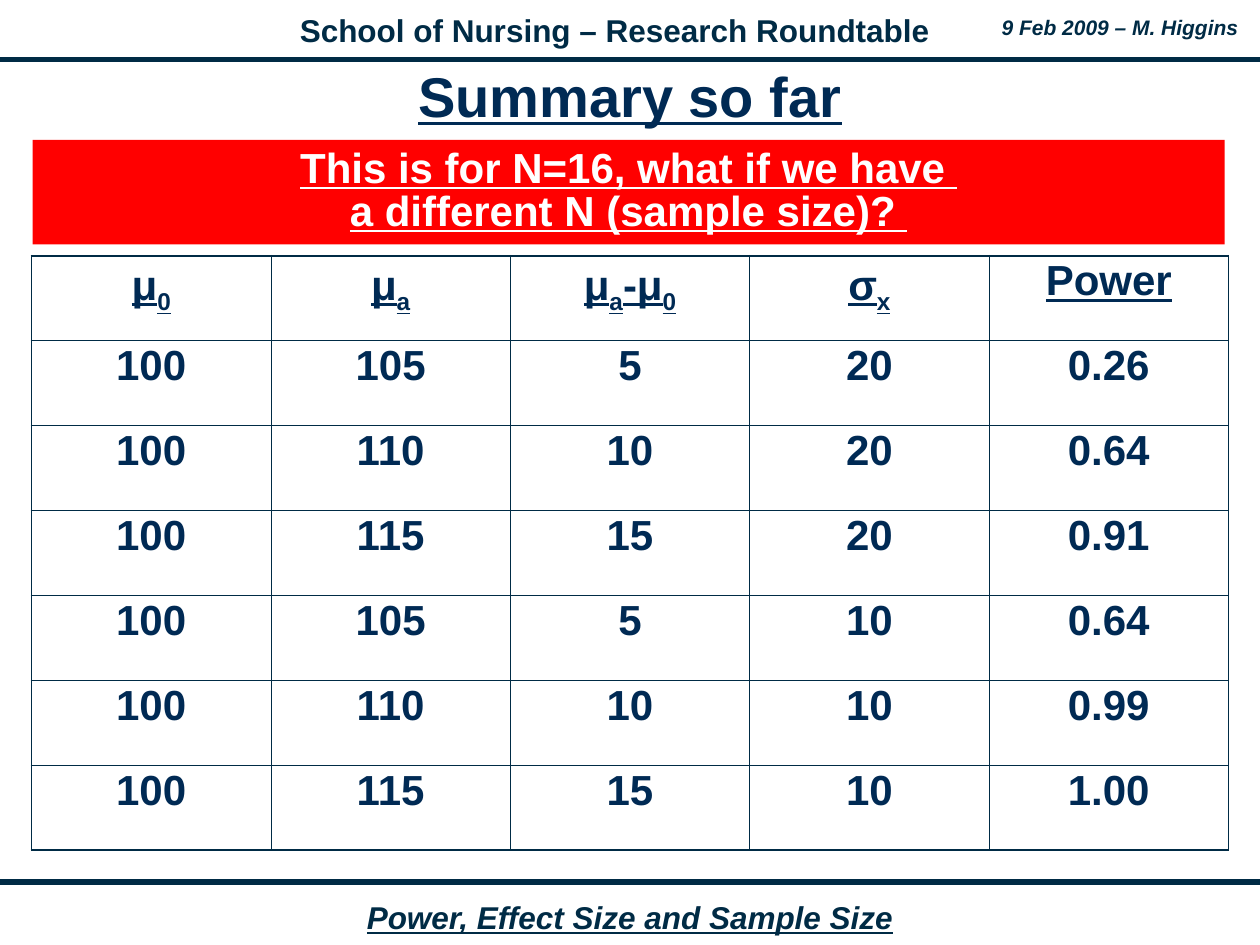
"""Builds the summary slide on power, effect size and sample size."""
from dataclasses import dataclass
from typing import NamedTuple

from lxml.etree import SubElement
from pptx import Presentation
from pptx.dml.color import RGBColor
from pptx.enum.shapes import MSO_CONNECTOR as Connector, MSO_SHAPE as Shape
from pptx.enum.text import MSO_ANCHOR as Anchor, MSO_AUTO_SIZE as AutoSize, PP_ALIGN as Align
from pptx.oxml.ns import qn
from pptx.util import Inches, Pt

NAVY = RGBColor(0x00, 0x2B, 0x45)
INK = RGBColor(0x00, 0x2A, 0x54)
RED = RGBColor(0xFF, 0x00, 0x00)
WHITE = RGBColor(0xFF, 0xFF, 0xFF)

WIDTH, HEIGHT = Inches(10), Inches(7.5)
GRID_COLUMNS, GRID_ROWS = 100, 75
THIN, THICK = Pt(0.45), Pt(1.08)


class Box(NamedTuple):
    left: float
    top: float
    width: float
    height: float

    def place(self) -> tuple[int, int, int, int]:
        return across(self.left), down(self.top), across(self.width), down(self.height)


class Piece(NamedTuple):
    text: str
    subscript: bool = False


@dataclass(frozen=True)
class Style:
    size: float
    color: RGBColor
    italic: bool = False
    underline: bool = False


@dataclass(frozen=True)
class Label:
    text: str
    box: Box
    style: Style


LABELS = (
    Label("9 Feb 2009 – M. Higgins", Box(78.5, 0.7, 20.8, 3), Style(12, NAVY, italic=True)),
    Label("School of Nursing – Research Roundtable", Box(22.8, 0.4, 52, 4), Style(18, NAVY)),
    Label("Power, Effect Size and Sample Size", Box(28, 70.8, 44, 4),
          Style(18, NAVY, italic=True, underline=True)),
)
RULE_ROWS = (4.7, 70)
TITLE_BOX = Box(2.5, 5.1, 95, 5.8)
BANNER_BOX = Box(2.6, 11.1, 94.6, 8.3)
TABLE_BOX = Box(2.5, 20.3, 95, 47.2)
BANNER_LINES = ("This is for N=16, what if we have ", "a different N (sample size)? ")
MU = Piece("μ")
SUB_ZERO, SUB_A, SUB_X = (Piece(letter, True) for letter in "0ax")
HEADINGS = ((MU, SUB_ZERO), (MU, SUB_A), (MU, SUB_A, Piece("-μ"), SUB_ZERO),
            (Piece("σ"), SUB_X), (Piece("Power"),))
RESULTS = (
    ("100", "105", "5", "20", "0.26"),
    ("100", "110", "10", "20", "0.64"),
    ("100", "115", "15", "20", "0.91"),
    ("100", "105", "5", "10", "0.64"),
    ("100", "110", "10", "10", "0.99"),
    ("100", "115", "15", "10", "1.00"),
)


def across(columns: float) -> int:
    """Turn grid columns into a length."""
    return round(WIDTH * columns / GRID_COLUMNS)


def down(rows: float) -> int:
    """Turn grid rows into a length."""
    return round(HEIGHT * rows / GRID_ROWS)


def add_piece(paragraph, piece: Piece, style: Style) -> None:
    """Add one formatted run to a paragraph."""
    run = paragraph.add_run()
    run.text = piece.text
    font = run.font
    font.name, font.size, font.bold = "Arial", Pt(style.size), True
    font.italic, font.underline = style.italic, style.underline
    font.color.rgb = style.color
    if piece.subscript:
        run._r.get_or_add_rPr().set("baseline", "-25000")


def fill_frame(frame, lines: tuple[str, ...], style: Style) -> None:
    """Write centred lines into a fixed frame with narrow margins."""
    frame.word_wrap, frame.auto_size = True, AutoSize.NONE
    frame.vertical_anchor = Anchor.MIDDLE
    frame.margin_left = frame.margin_right = Inches(0.05)
    frame.margin_top = frame.margin_bottom = Inches(0.05)
    paragraph = frame.paragraphs[0]
    paragraph.alignment, paragraph.line_spacing = Align.CENTER, 0.85
    for index, line in enumerate(lines):
        if index:
            paragraph.add_line_break()
        add_piece(paragraph, Piece(line), style)


def add_rule(slide, row: float) -> None:
    """Draw a rule across the whole slide."""
    rule = slide.shapes.add_connector(Connector.STRAIGHT, 0, down(row), WIDTH, down(row))
    rule.line.color.rgb, rule.line.width = NAVY, Pt(3)
    SubElement(rule._element.spPr, qn("a:effectLst"))


def add_label(slide, label: Label) -> None:
    """Add a running header or footer text."""
    frame = slide.shapes.add_textbox(*label.box.place()).text_frame
    frame.word_wrap, frame.auto_size = False, AutoSize.SHAPE_TO_FIT_TEXT
    paragraph = frame.paragraphs[0]
    paragraph.alignment = Align.CENTER
    add_piece(paragraph, Piece(label.text), label.style)


def add_banner(slide) -> None:
    """Add the red question banner."""
    banner = slide.shapes.add_shape(Shape.RECTANGLE, *BANNER_BOX.place())
    banner.shadow.inherit = False
    banner.fill.solid()
    banner.fill.fore_color.rgb = RED
    banner.line.fill.background()
    fill_frame(banner.text_frame, BANNER_LINES, Style(24, WHITE, underline=True))


def set_borders(cell, outer: dict[str, bool]) -> None:
    """Draw the cell borders, thicker on the outer edge of the table."""
    properties = cell._tc.get_or_add_tcPr()
    for side, is_outer in outer.items():
        line = SubElement(properties, qn(f"a:ln{side}"), w=str(THICK if is_outer else THIN))
        SubElement(SubElement(line, qn("a:solidFill")), qn("a:srgbClr"), val=str(NAVY))


def add_power_table(slide) -> None:
    """Add the table of means, differences, deviations and power."""
    rows = (HEADINGS, *(tuple((Piece(value),) for value in result) for result in RESULTS))
    last_row, last_column = len(rows) - 1, len(HEADINGS) - 1
    table = slide.shapes.add_table(len(rows), len(HEADINGS), *TABLE_BOX.place()).table
    table.first_row = table.horz_banding = False
    for row, cells in enumerate(rows):
        style = Style(24, INK, underline=row == 0)
        for column, pieces in enumerate(cells):
            cell = table.cell(row, column)
            set_borders(cell, {"L": column == 0, "R": column == last_column,
                               "T": row == 0, "B": row == last_row})
            cell.fill.background()
            paragraph = cell.text_frame.paragraphs[0]
            paragraph.alignment, paragraph.line_spacing = Align.CENTER, 0.9
            paragraph.space_before = paragraph.space_after = Pt(10.5)
            for piece in pieces:
                add_piece(paragraph, piece, style)


def main() -> None:
    """Build and save the slide."""
    presentation = Presentation()
    presentation.slide_width, presentation.slide_height = WIDTH, HEIGHT
    slide = presentation.slides.add_slide(presentation.slide_layouts[5])
    for row in RULE_ROWS:
        add_rule(slide, row)
    for label in LABELS:
        add_label(slide, label)
    title = slide.shapes.title
    title.left, title.top, title.width, title.height = TITLE_BOX.place()
    fill_frame(title.text_frame, ("Summary so far",), Style(32, INK, underline=True))
    add_power_table(slide)
    add_banner(slide)
    presentation.save("out.pptx")


if __name__ == "__main__":
    main()
